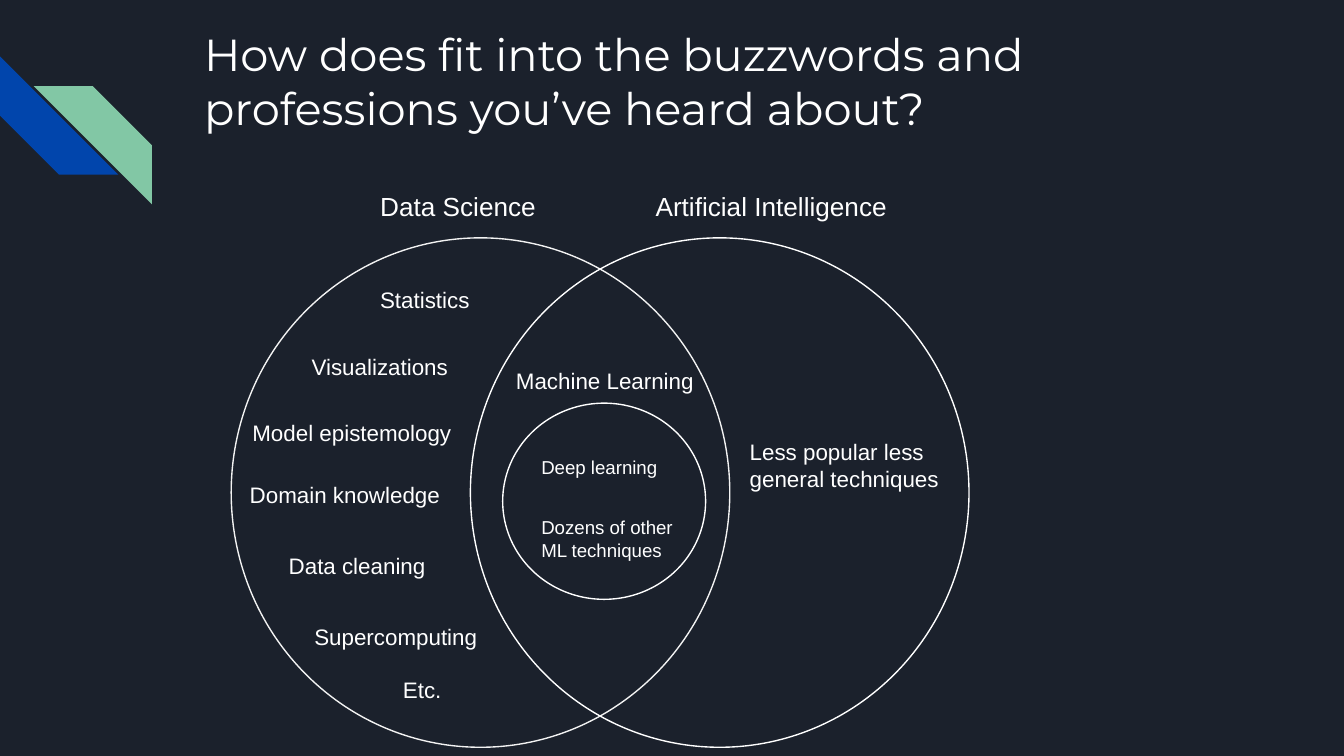
from pptx import Presentation
from pptx.dml.color import RGBColor
from pptx.enum.shapes import MSO_SHAPE as Preset
from pptx.util import Inches, Pt

WIDTH, HEIGHT = 10, 5.625
COLUMNS = 100
CELL = WIDTH / COLUMNS
WHITE = "FFFFFF"


def color(hex_code):
    return RGBColor.from_string(hex_code)


def grid(*cells):
    return [Inches(cell * CELL) for cell in cells]


def add_stripe(page, left, top, fill, rotation=0, mirrored=False):
    stripe = page.shapes.add_shape(Preset.DIAGONAL_STRIPE, *grid(left, top, 8.8, 8.8))
    stripe.shadow.inherit = False
    stripe.fill.solid()
    stripe.fill.fore_color.rgb = color(fill)
    stripe.line.fill.background()
    stripe.rotation = rotation
    if mirrored:
        stripe.element.spPr.xfrm.set("flipH", "1")


def add_circle(page, left, top, width, height, outline=WHITE):
    circle = page.shapes.add_shape(Preset.OVAL, *grid(left, top, width, height))
    circle.shadow.inherit = False
    circle.fill.background()
    circle.line.color.rgb = color(outline)
    circle.line.width = Pt(0.75)


def add_label(page, text, left, top, width, height, size=12, font="Arial"):
    box = page.shapes.add_textbox(*grid(left, top, width, height))
    frame = box.text_frame
    frame.word_wrap = True
    frame.margin_left = frame.margin_right = Inches(0.1)
    frame.margin_top = frame.margin_bottom = Inches(0.1)
    span = frame.paragraphs[0].add_run()
    span.text = text
    span.font.name = font
    span.font.size = Pt(size)
    span.font.color.rgb = color(WHITE)


def add_data_science_topics(page):
    topics = [
        ("Statistics", 27.3, 20.3),
        ("Visualizations", 22.2, 25.3),
        ("Model epistemology", 17.8, 30.2),
        ("Domain knowledge", 17.6, 34.8),
        ("Data cleaning", 20.5, 40.1),
        ("Supercomputing", 22.4, 45.4),
        ("Etc.", 29, 49.3),
    ]
    for text, left, top in topics:
        add_label(page, text, left, top, 17.3, 4.2)


def add_machine_learning(page):
    add_circle(page, 37.4, 30, 15.1, 14.6)
    add_label(page, "Machine Learning", 37.4, 26.3, 17.9, 4.2)
    add_label(page, "Deep learning", 39.3, 33.1, 12.3, 3.7, size=10)
    add_label(page, "Dozens of other ML techniques", 39.3, 37.4, 12.3, 4.2, size=10)


def main():
    deck = Presentation()
    deck.slide_width, deck.slide_height = Inches(WIDTH), Inches(HEIGHT)
    page = deck.slides.add_slide(deck.slide_layouts[6])
    page.background.fill.solid()
    page.background.fill.fore_color.rgb = color("1B212C")

    add_stripe(page, 0, 4.2, "0145AC", rotation=270)
    add_stripe(page, 2.5, 6.4, "82C7A5", mirrored=True)
    add_label(page, "How does fit into the buzzwords and professions you’ve heard about?",
              14.2, 1, 77, 10, size=24, font="Montserrat")

    add_circle(page, 17.2, 17.7, 37.1, 37.9, outline="F3F3F3")
    add_circle(page, 35, 17.7, 37.1, 37.9)
    add_label(page, "Data Science", 27.3, 13.2, 14.2, 4.2, size=14)
    add_label(page, "Artificial Intelligence", 47.8, 13.2, 20.3, 4.5, size=14)
    add_data_science_topics(page)
    add_machine_learning(page)
    add_label(page, "Less popular less general techniques", 54.8, 31.6, 16.7, 8.6)

    deck.save("out.pptx")


if __name__ == "__main__":
    main()
